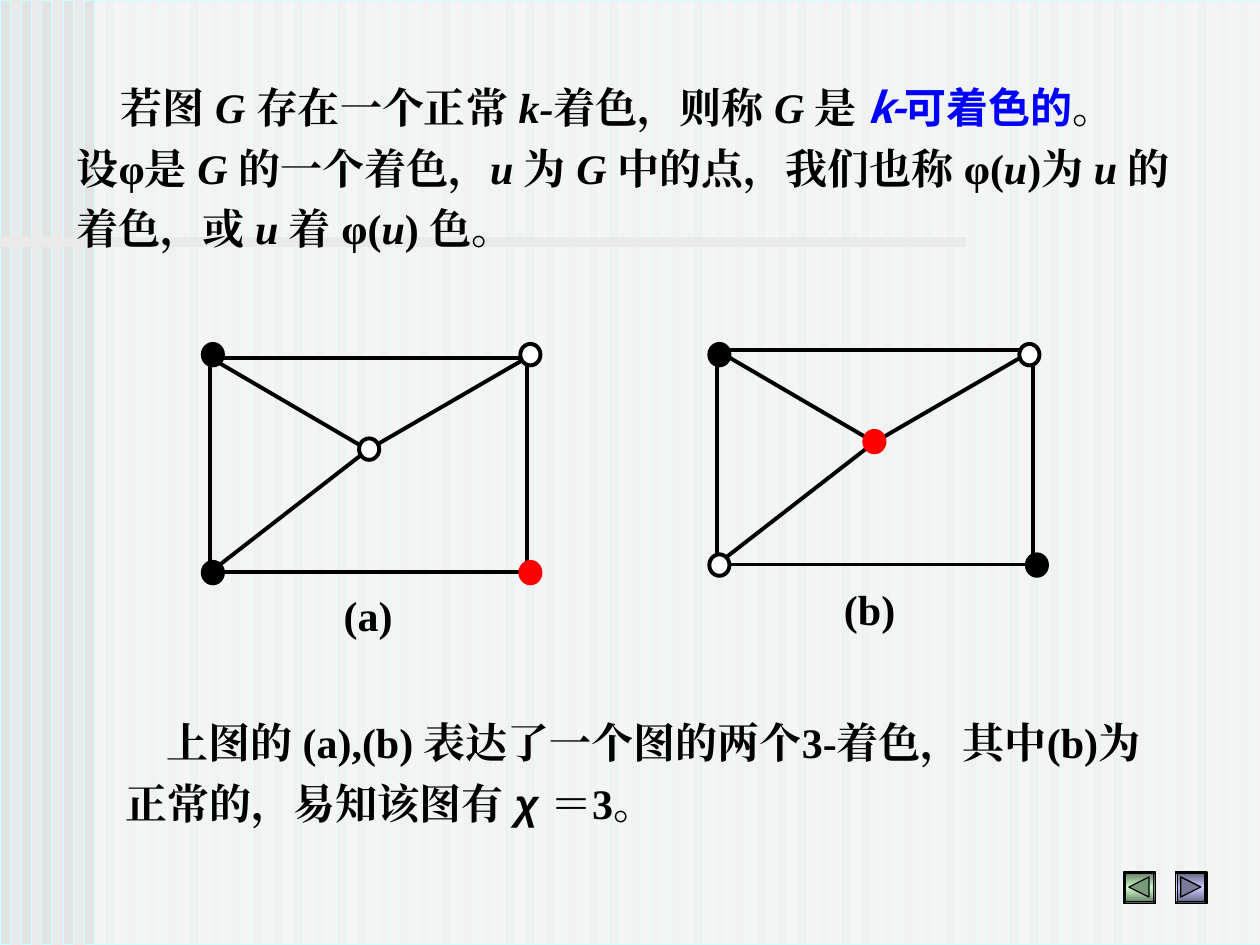
"""Build the slide on k-colourable graphs."""
import copy
import dataclasses

import lxml.etree
import pptx
import pptx.dml.color
import pptx.enum.shapes
import pptx.oxml.ns
import pptx.util

PX = 9144
WIDE, HIGH = 1000, 750
TIMES, ARIAL, NOTO = "Times New Roman", "Arial", "Noto Sans CJK SC"
BLACK, WHITE, RED, BLUE = "000000", "FFFFFF", "FF0000", "0000FF"
PALE, GREY, SOFT = "CCFFFF", "DDDDDD", "EAEAEA"
KIND = pptx.enum.shapes.MSO_SHAPE
qn = pptx.oxml.ns.qn


@dataclasses.dataclass
class Span:
    """Text in one font and colour, with italics between asterisks."""
    text: str
    font: str = TIMES
    color: str = BLACK


@dataclasses.dataclass
class Para:
    """A paragraph with its first-line indent."""
    spans: list[Span]
    indent: int = 0


@dataclasses.dataclass
class Box:
    """A text box with its place and line spacing."""
    left: int
    top: int
    width: int
    height: int
    paras: list[Para]
    pitch: float = 1.2


@dataclasses.dataclass
class Node:
    """A graph node with its fill and line colours."""
    left: int
    top: int
    fill: str
    line: str


@dataclasses.dataclass
class Graph:
    """A drawn graph: the shift of its edges, and its nodes."""
    right: int
    down: int
    nodes: list[Node]


@dataclasses.dataclass
class Button:
    """A bevelled button with an arrow turned by an angle."""
    left: int
    dark: str
    light: str
    mark: str
    turn: int


ENDS = {"tl": (167, 284), "tr": (418, 284), "mid": (292, 357),
        "bl": (167, 454), "br": (418, 454)}
EDGES = ["tl tr", "bl br", "tl mid", "tl bl", "tr br", "bl mid", "mid tr"]
GRAPHS = [
    Graph(0, 0, [Node(161, 446, BLACK, BLACK), Node(161, 273, BLACK, BLACK),
                 Node(285, 348, WHITE, BLACK), Node(413, 273, WHITE, BLACK),
                 Node(413, 446, RED, RED)]),
    Graph(402, -6, [Node(815, 440, BLACK, BLACK), Node(563, 273, BLACK, BLACK),
                    Node(686, 342, RED, RED), Node(809, 273, WHITE, BLACK),
                    Node(563, 440, WHITE, BLACK)]),
]
BUTTONS = [Button(892, "5E765E", "CCFFCC", "7A997A", -90),
           Button(933, "5E5E76", "CCCCFF", "7A7A99", 90)]
BOXES = [
    Box(51, 52, 906, 162, [
        Para([Span("若图 *G *存在一个正常 *k-*着色，则称 *G *是 "),
              Span("*k-*可着色的", NOTO, BLUE), Span("。")], 35),
        Para([Span("设φ是 *G *的一个着色，*u *为 *G *中的点，我们也称 φ(*u*)为 "
                   "*u *的着色，或 *u *着 φ(*u*) 色。")])]),
    Box(263, 463, 64, 90, [Para([Span("(a)")])], 1.0),
    Box(660, 458, 66, 90, [Para([Span("(b)")])], 1.0),
    Box(90, 556, 837, 106, [
        Para([Span("上图的 (a),(b) 表达了一个图的两个3-着色，其中(b)为正常的，易知该图有 "),
              Span("*χ *", ARIAL), Span("＝3。")], 32)]),
]


def paint(color: str) -> pptx.dml.color.RGBColor:
    """Turn a hex string into a colour."""
    return pptx.dml.color.RGBColor.from_string(color)


def shape(slide, kind, left: int, top: int, width: int, height: int,
          fill: str, line: str, weight: float):
    """Draw a preset shape with a solid fill and a line."""
    item = slide.shapes.add_shape(kind, left * PX, top * PX, width * PX, height * PX)
    item.shadow.inherit = False
    item.fill.solid()
    item.fill.fore_color.rgb = paint(fill)
    item.line.color.rgb = paint(line)
    item.line.width = pptx.util.Pt(weight)
    return item


def veil(slide, left: int, width: int, fill: str) -> None:
    """Draw a half-clear band over the full height."""
    band = shape(slide, KIND.RECTANGLE, left, 0, width, HIGH, fill, PALE, 0.5)
    tint = band._element.spPr.find(qn("a:solidFill"))[0]
    lxml.etree.SubElement(tint, qn("a:alpha"), val="50000")


def edge(slide, start: tuple[int, int], end: tuple[int, int], color: str,
         weight: float, dots: bool = False) -> None:
    """Draw a straight line, with round ends if asked."""
    ends = [place * PX for place in (*start, *end)]
    item = slide.shapes.add_connector(pptx.enum.shapes.MSO_CONNECTOR.STRAIGHT, *ends)
    item.line.color.rgb = paint(color)
    item.line.width = pptx.util.Pt(weight)
    if dots:
        line = item._element.spPr.find(qn("a:ln"))
        for tag in ("a:headEnd", "a:tailEnd"):
            lxml.etree.SubElement(line, qn(tag), type="oval")
    lxml.etree.SubElement(item._element.spPr, qn("a:effectLst"))


def graph(slide, plan: Graph) -> None:
    """Draw the edges and then the nodes of a graph."""
    for pair in EDGES:
        start, end = [(ENDS[name][0] + plan.right, ENDS[name][1] + plan.down)
                      for name in pair.split()]
        edge(slide, start, end, BLACK, 2.25, True)
    for node in plan.nodes:
        shape(slide, KIND.OVAL, node.left, node.top, 16, 17, node.fill, node.line, 2.25)


def button(slide, plan: Button) -> None:
    """Draw a bevelled button and its arrow."""
    face = shape(slide, KIND.BEVEL, plan.left, 692, 25, 25, plan.dark, BLACK, 0.75)
    face.adjustments[0] = 0.06
    face.fill.gradient()
    stops = face._element.spPr.find(".//" + qn("a:gsLst"))
    stops.append(copy.deepcopy(stops[0]))
    colors = (plan.dark, plan.light, plan.dark)
    for stop, color, place in zip(face.fill.gradient_stops, colors, (0, 0.5, 1)):
        stop.color.rgb = paint(color)
        stop.position = place
    face.fill.gradient_angle = 90
    arrow = shape(slide, KIND.ISOSCELES_TRIANGLE, plan.left + 4, 696, 16, 16,
                  plan.mark, BLACK, 0.75)
    arrow.rotation = plan.turn


def write(slide, box: Box) -> None:
    """Write a text box with its paragraphs and runs."""
    item = slide.shapes.add_textbox(box.left * PX, box.top * PX,
                                    box.width * PX, box.height * PX)
    frame = item.text_frame
    frame.word_wrap = True
    for rank, para in enumerate(box.paras):
        line = frame.add_paragraph() if rank else frame.paragraphs[0]
        line.line_spacing = box.pitch
        line._p.get_or_add_pPr().set("indent", str(para.indent * PX))
        for span in para.spans:
            for turn, text in enumerate(span.text.split("*")):
                if not text:
                    continue
                run = line.add_run()
                run.text = text
                run.font.size = pptx.util.Pt(24)
                run.font.bold = True
                run.font.italic = turn % 2 == 1
                run.font.color.rgb = paint(span.color)
                run.font.name = span.font
                lxml.etree.SubElement(run._r.rPr, qn("a:ea"), typeface=span.font)


def main() -> None:
    """Build and save the slide."""
    deck = pptx.Presentation()
    deck.slide_width, deck.slide_height = WIDE * PX, HIGH * PX
    slide = deck.slides.add_slide(deck.slide_layouts[6])
    slide.background.fill.solid()
    slide.background.fill.fore_color.rgb = paint(SOFT)
    for rank in range(60):
        veil(slide, round(rank * 100 / 6), 8, GREY)
    veil(slide, 75, 925, WHITE)
    for plan in BUTTONS:
        button(slide, plan)
    edge(slide, (0, 192), (767, 192), SOFT, 6)
    for plan in GRAPHS:
        graph(slide, plan)
    for box in BOXES:
        write(slide, box)
    deck.save("out.pptx")


if __name__ == "__main__":
    main()
